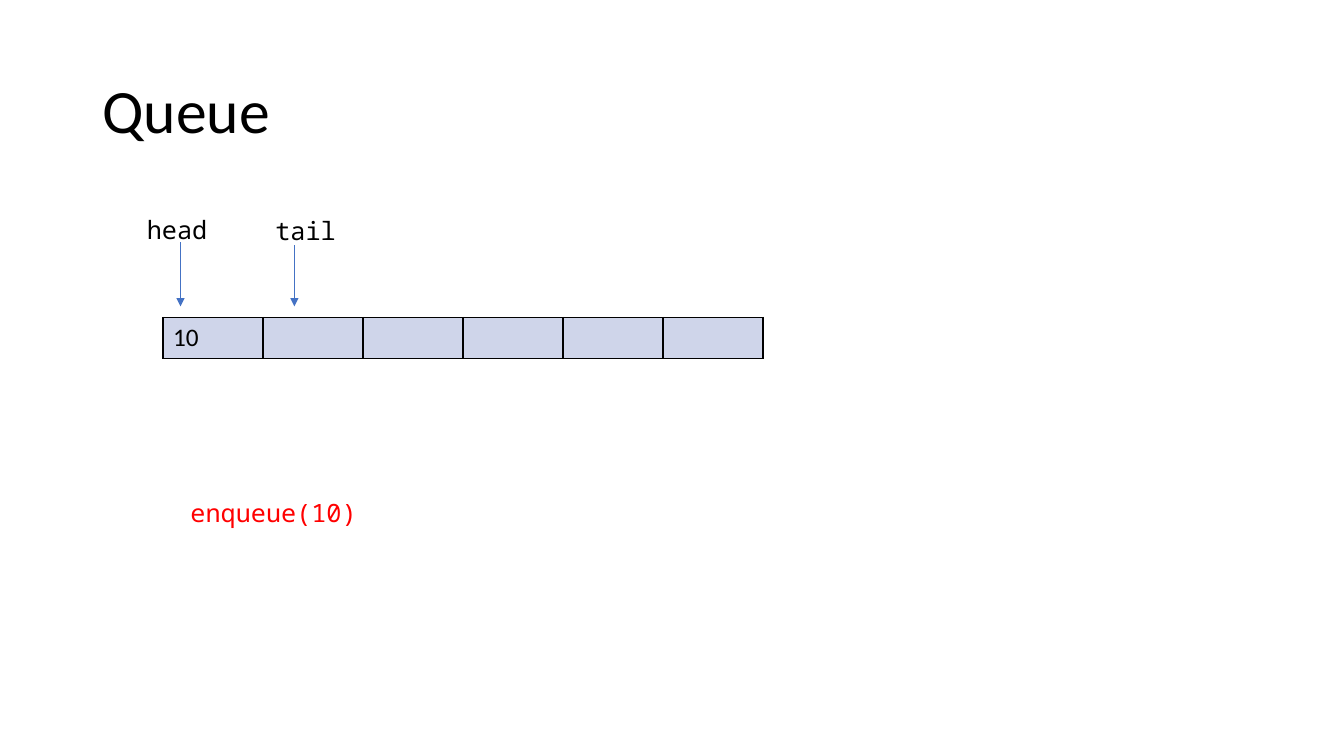
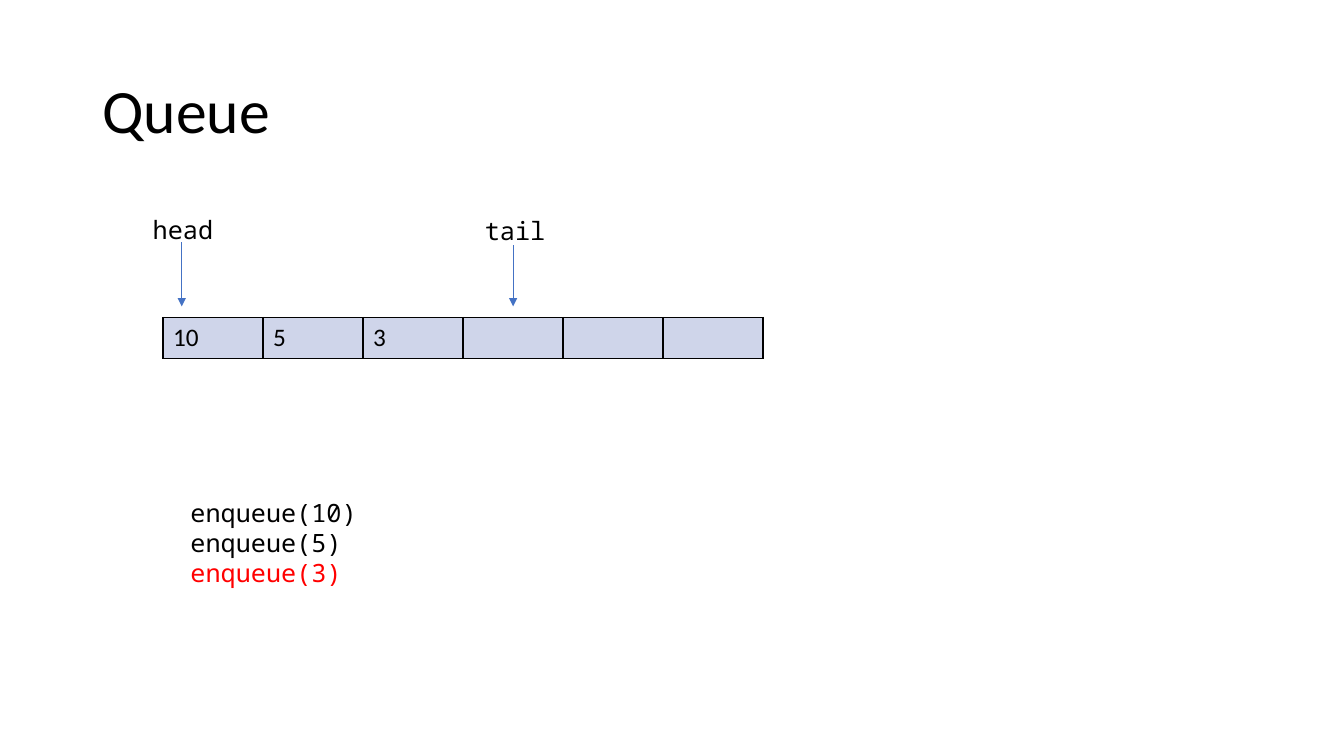
from lxml.etree import SubElement
from pptx import Presentation
from pptx.dml.color import RGBColor
from pptx.enum.shapes import MSO_CONNECTOR
from pptx.enum.text import MSO_ANCHOR, MSO_AUTO_SIZE, PP_ALIGN
from pptx.oxml.ns import qn
from pptx.util import Cm, Pt

COLORS = {
    "text": "000000",
    "latest": "FF0000",
    "arrow": "4472C4",
    "cell": "CFD5EA",
    "border": "000000",
}
TITLE_FONT = "Calibri"
CODE_FONT = "Noto Sans Mono"
CELL_COUNT = 6
CELL_WIDTH, CELL_HEIGHT = 2.52, 1.03
QUEUE_LEFT, QUEUE_TOP = 4.11, 8.0
ARROW_END = 7.72
LABEL_WIDTH, LINE_HEIGHT = 2.57, 1.02


def color(name):
    return RGBColor.from_string(COLORS[name])


class QueueDeck:
    def __init__(self):
        self.presentation = Presentation()
        self.presentation.slide_width = Cm(33.87)
        self.presentation.slide_height = Cm(19.05)
        self.slide = None

    def add_run(self, paragraph, text, font_name, size=18, color_name="text"):
        run = paragraph.add_run()
        run.text = text
        run.font.name = font_name
        run.font.size = Pt(size)
        run.font.color.rgb = color(color_name)

    def new_slide(self, title):
        layout = self.presentation.slide_layouts[5]
        self.slide = self.presentation.slides.add_slide(layout)
        shape = self.slide.shapes.title
        shape.left, shape.top = Cm(2.33), Cm(1.02)
        shape.width, shape.height = Cm(29.21), Cm(3.68)
        frame = shape.text_frame
        frame.vertical_anchor = MSO_ANCHOR.MIDDLE
        frame.auto_size = MSO_AUTO_SIZE.NONE
        paragraph = frame.paragraphs[0]
        paragraph.alignment = PP_ALIGN.LEFT
        paragraph.line_spacing = 0.9
        self.add_run(paragraph, title, TITLE_FONT, 44)

    def code(self, left, top, width, lines):
        """Add a box of code from (text, colour name) lines."""
        box = self.slide.shapes.add_textbox(
            Cm(left), Cm(top), Cm(width), Cm(LINE_HEIGHT))
        frame = box.text_frame
        frame.word_wrap = True
        frame.auto_size = MSO_AUTO_SIZE.SHAPE_TO_FIT_TEXT
        for index, (text, color_name) in enumerate(lines):
            paragraph = frame.add_paragraph() if index else frame.paragraphs[0]
            self.add_run(paragraph, text, CODE_FONT, color_name=color_name)

    def arrow(self, x, top):
        connector = self.slide.shapes.add_connector(
            MSO_CONNECTOR.STRAIGHT, Cm(x), Cm(top), Cm(x), Cm(ARROW_END))
        connector.line.color.rgb = color("arrow")
        connector.line.width = Pt(0.5)
        line = connector.line._get_or_add_ln()
        SubElement(line, qn("a:tailEnd"), type="triangle")
        SubElement(connector._element.spPr, qn("a:effectLst"))

    def pointer(self, name, label_left, label_top, arrow_x, arrow_top):
        self.arrow(arrow_x, arrow_top)
        self.code(label_left, label_top, LABEL_WIDTH, [(name, "text")])

    def border(self, cell):
        properties = cell._tc.get_or_add_tcPr()
        for side in ("lnL", "lnR", "lnT", "lnB"):
            line = SubElement(properties, qn(f"a:{side}"), w=str(Pt(1)))
            fill = SubElement(line, qn("a:solidFill"))
            SubElement(fill, qn("a:srgbClr"), val=COLORS["border"])

    def queue(self, values):
        table = self.slide.shapes.add_table(
            1, CELL_COUNT, Cm(QUEUE_LEFT), Cm(QUEUE_TOP),
            Cm(CELL_COUNT * CELL_WIDTH), Cm(CELL_HEIGHT)).table
        table.first_row = False
        table.horz_banding = False
        for cell in table.iter_cells():
            self.border(cell)
            cell.fill.solid()
            cell.fill.fore_color.rgb = color("cell")
        for cell, value in zip(table.iter_cells(), values):
            self.add_run(cell.text_frame.paragraphs[0], str(value), TITLE_FONT)

    def queue_slide(self, values, head, tail):
        """Show the queue after its calls; head and tail are (label left, arrow x)."""
        self.new_slide("Queue")
        self.queue(values)
        self.pointer("head", head[0], 5.28, head[1], 6.1)
        self.pointer("tail", tail[0], 5.31, tail[1], 6.18)
        last = len(values) - 1
        calls = [(f"enqueue({value})", "latest" if index == last else "text")
                 for index, value in enumerate(values)]
        self.code(4.55, 12.4, 9.4, calls)


def main():
    deck = QueueDeck()
    deck.queue_slide([10], head=(3.45, 4.55), tail=(6.69, 7.42))
    deck.queue_slide([10, 5, 3], head=(3.6, 4.58), tail=(11.97, 12.93))
    deck.presentation.save("out.pptx")


if __name__ == "__main__":
    main()
